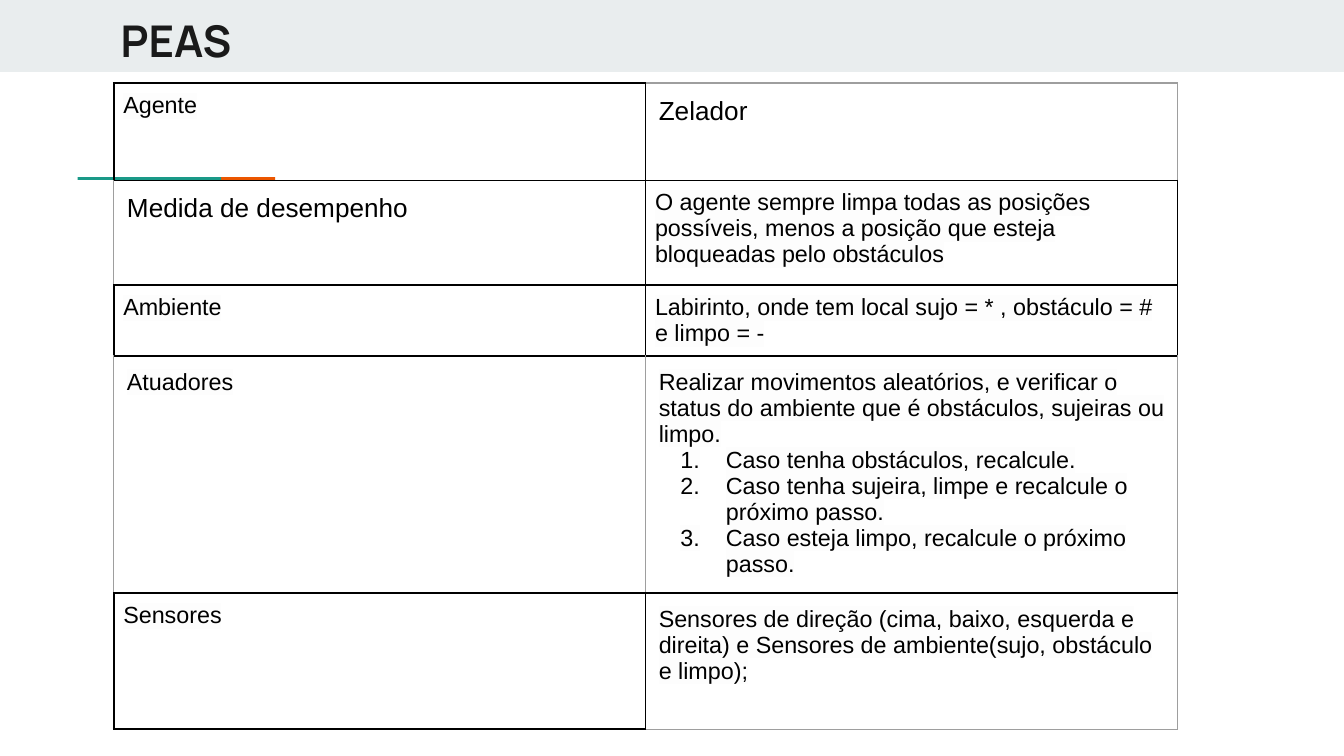
from dataclasses import dataclass

from lxml.etree import SubElement
from pptx import Presentation
from pptx.dml.color import RGBColor
from pptx.enum.shapes import MSO_SHAPE
from pptx.enum.text import MSO_ANCHOR, PP_ALIGN
from pptx.oxml.ns import qn
from pptx.util import Cm, Pt

BLACK, GREY, INK = "000000", "9E9E9E", "1A1A1A"
HIGHLIGHT = "FDFDFD"
TIGHT, LOOSE = 0.18, 0.25  # cell margins in cm
SIDES = {"l": "a:lnL", "r": "a:lnR", "t": "a:lnT", "b": "a:lnB"}


@dataclass
class Bar:
    left: float
    top: float
    width: float
    height: float
    color: str


@dataclass
class CellSpec:
    text: str
    margin: float = TIGHT
    grey_sides: str = ""
    size: float = 12.5
    highlight: bool = True
    steps: tuple[str, ...] = ()


@dataclass
class Row:
    height: float
    cells: tuple[CellSpec, CellSpec]


BARS = [
    Bar(0, 0, 25.4, 1.36, "E9EDEE"),
    Bar(2.49, 3.35, 2.71, 0.05, "EB5600"),
    Bar(1.47, 3.35, 2.71, 0.05, "1A9988"),
]

ROWS = [
    Row(1.84, (
        CellSpec("Agente"),
        CellSpec("Zelador", LOOSE, "tr", 14, False),
    )),
    Row(1.98, (
        CellSpec("Medida de desempenho", LOOSE, "l", 14, False),
        CellSpec("O agente sempre limpa todas as posições possíveis, "
                 "menos a posição que esteja bloqueadas pelo obstáculos"),
    )),
    Row(1.33, (
        CellSpec("Ambiente"),
        CellSpec("Labirinto, onde tem local sujo = * , obstáculo = # e limpo = -"),
    )),
    Row(4.48, (
        CellSpec("Atuadores", LOOSE, "lr"),
        CellSpec("Realizar movimentos aleatórios, e verificar o status do ambiente "
                 "que é obstáculos, sujeiras ou limpo.", LOOSE, "lr",
                 steps=("Caso tenha obstáculos, recalcule.",
                        "Caso tenha sujeira, limpe e recalcule o próximo passo.",
                        "Caso esteja limpo, recalcule o próximo passo.")),
    )),
    Row(2.57, (
        CellSpec("Sensores"),
        CellSpec("Sensores de direção (cima, baixo, esquerda e direita) e "
                 "Sensores de ambiente(sujo, obstáculo e limpo);", LOOSE, "rb"),
    )),
]


def rgb(color: str) -> RGBColor:
    return RGBColor.from_string(color)


def set_attrs(obj, **values) -> None:
    for name, value in values.items():
        setattr(obj, name, value)


def add_solid(parent, color: str, tag: str = "a:solidFill") -> None:
    """Append a colour element, such as a fill or a highlight."""
    SubElement(SubElement(parent, qn(tag)), qn("a:srgbClr"), val=color)


def draw_bar(slide, bar: Bar) -> None:
    s = slide.shapes.add_shape(
        MSO_SHAPE.RECTANGLE, *map(Cm, (bar.left, bar.top, bar.width, bar.height)))
    s.shadow.inherit = False
    s.fill.solid()
    s.fill.fore_color.rgb = rgb(bar.color)
    s.line.fill.background()


def draw_title(slide, text: str) -> None:
    sp = slide.shapes.title
    slide.shapes._spTree.append(sp._element)  # in front of the header band
    set_attrs(sp, left=Cm(2.03), top=Cm(0), width=Cm(21.36), height=Cm(1.5))
    tf = sp.text_frame
    margin = Cm(LOOSE)
    set_attrs(tf, margin_left=margin, margin_right=margin, margin_top=margin,
              margin_bottom=margin, vertical_anchor=MSO_ANCHOR.MIDDLE)
    p = tf.paragraphs[0]
    p.alignment = PP_ALIGN.LEFT
    r = p.add_run()
    r.text = text
    set_attrs(r.font, name="Manrope", size=Pt(23.4), bold=True)
    r.font.color.rgb = rgb(INK)


def number_paragraph(p) -> None:
    pPr = p._p.get_or_add_pPr()
    pPr.set("marL", str(Cm(1.27)))
    pPr.set("indent", str(Cm(-0.86)))
    add_solid(pPr, BLACK, "a:buClr")
    SubElement(pPr, qn("a:buFont"), typeface="Arial")
    SubElement(pPr, qn("a:buAutoNum"), type="arabicPeriod")


def write_run(p, text: str, spec: CellSpec) -> None:
    r = p.add_run()
    r.text = text
    r.font.size = Pt(spec.size)
    r.font.color.rgb = rgb(BLACK)
    if spec.highlight:
        add_solid(r.font._element, HIGHLIGHT, "a:highlight")
    r.font.name = "Arial"


def fill_cell(cell, spec: CellSpec) -> None:
    margin = Cm(spec.margin)
    set_attrs(cell, margin_left=margin, margin_right=margin, margin_top=margin,
              margin_bottom=margin, vertical_anchor=MSO_ANCHOR.TOP)
    tcPr = cell._tc.get_or_add_tcPr()
    for side, tag in SIDES.items():
        grey = side in spec.grey_sides
        ln = SubElement(tcPr, qn(tag), w=str(Pt(0.75 if grey else 1)))
        add_solid(ln, GREY if grey else BLACK)
    cell.fill.background()

    tf = cell.text_frame
    write_run(tf.paragraphs[0], spec.text, spec)
    for step in spec.steps:
        p = tf.add_paragraph()
        number_paragraph(p)
        write_run(p, step, spec)


def draw_table(slide, rows: list[Row]) -> None:
    column = Cm(10.05)
    height = Cm(sum(row.height for row in rows))
    table = slide.shapes.add_table(
        len(rows), 2, Cm(2.15), Cm(1.57), 2 * column, height).table
    set_attrs(table, first_row=False, horz_banding=False)
    for col in table.columns:
        col.width = column
    for table_row, row in zip(table.rows, rows):
        table_row.height = Cm(row.height)
        for cell, spec in zip(table_row.cells, row.cells):
            fill_cell(cell, spec)


def main() -> None:
    prs = Presentation()
    set_attrs(prs, slide_width=Cm(25.4), slide_height=Cm(14.29))
    slide = prs.slides.add_slide(prs.slide_layouts[5])
    for bar in BARS:
        draw_bar(slide, bar)
    draw_title(slide, "PEAS")
    draw_table(slide, ROWS)
    prs.save("out.pptx")


if __name__ == "__main__":
    main()
